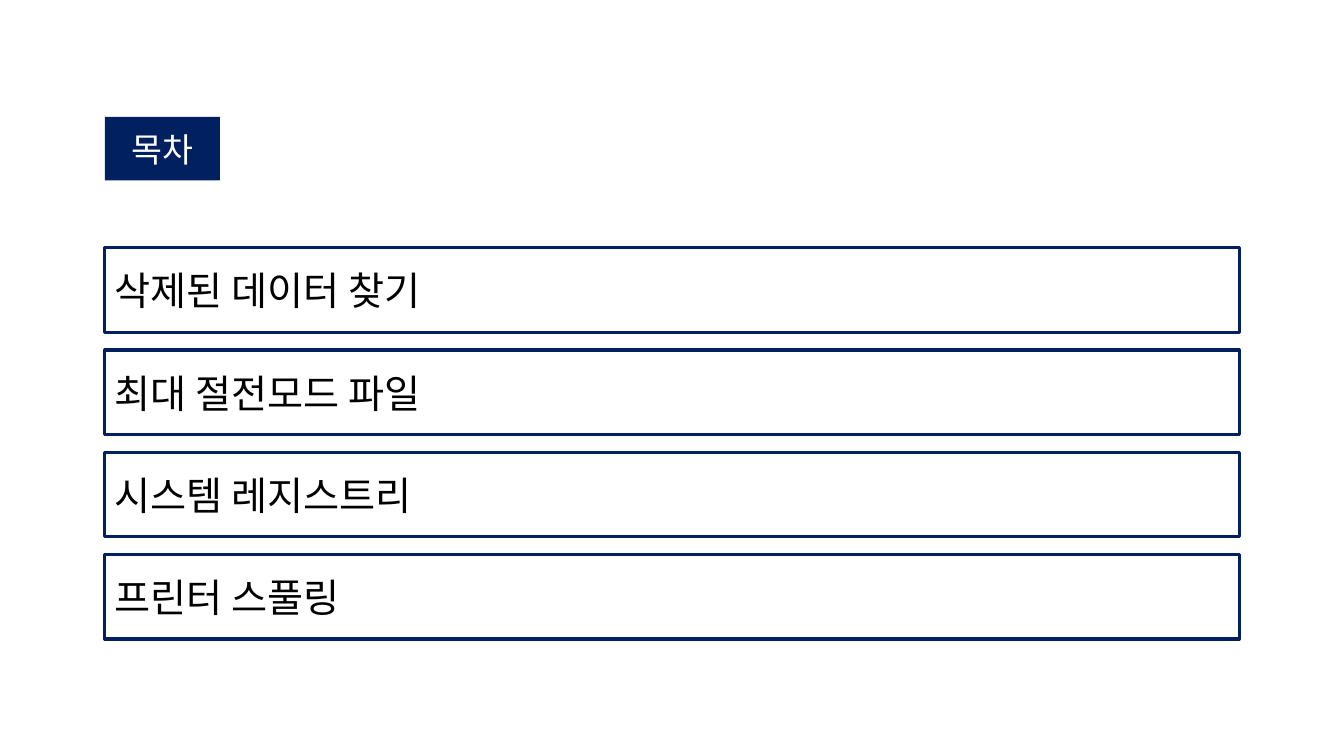
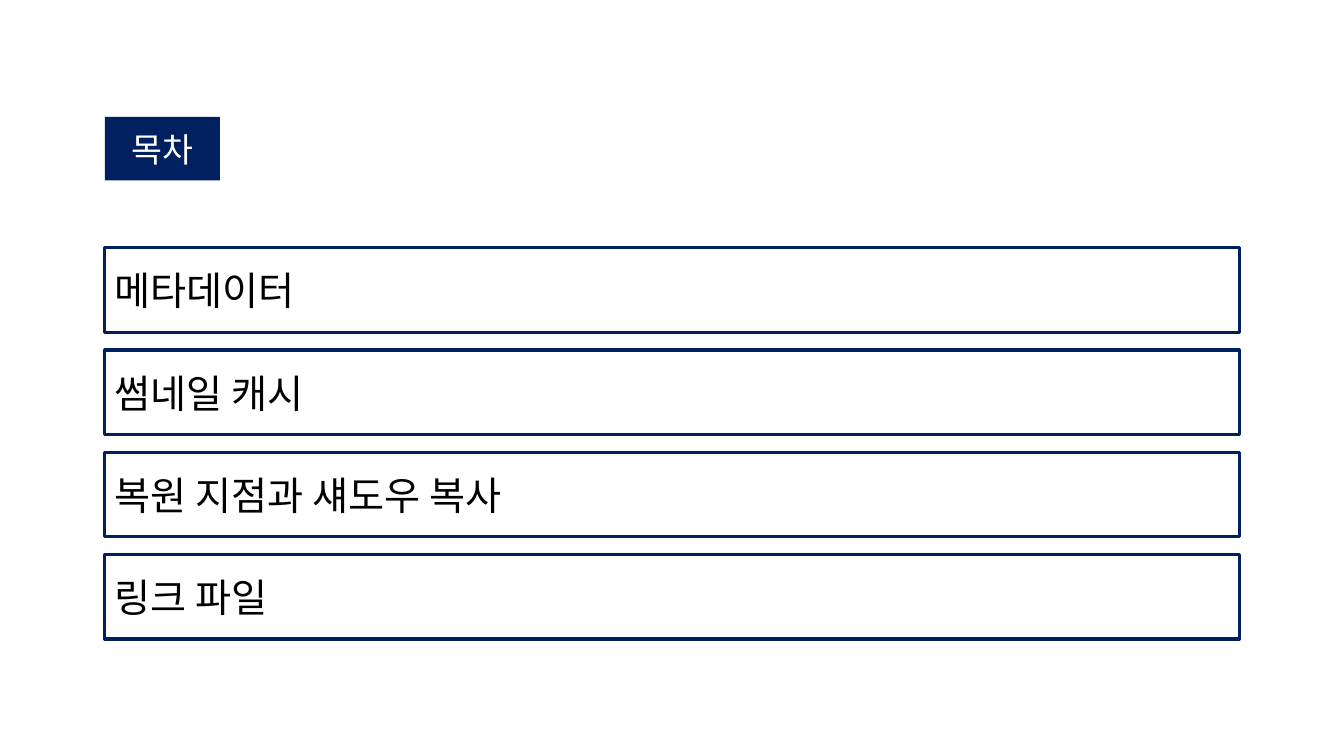
from lxml.etree import SubElement as Sub
from pptx import Presentation
from pptx.dml.color import RGBColor as RGB
from pptx.enum.shapes import MSO_SHAPE as Shape
from pptx.enum.text import MSO_ANCHOR as Anchor, PP_ALIGN as Align
from pptx.oxml.ns import qn
from pptx.util import Inches, Pt

NAVY = RGB(0x00, 0x20, 0x60)
BLACK = RGB(0x00, 0x00, 0x00)
WHITE = RGB(0xFF, 0xFF, 0xFF)
FONT = "Noto Sans CJK KR"
LEFT = 1.04
TOP = 2.46
STEP = 3.04 / 3

TITLE = "목차"
LISTS = [
    ["삭제된 데이터 찾기", "최대 절전모드 파일", "시스템 레지스트리", "프린터 스풀링"],
    ["메타데이터", "썸네일 캐시", "복원 지점과 섀도우 복사", "링크 파일"],
]


def add_box(slide, top, width, height, text, size, color, align):
    box = slide.shapes.add_shape(
        Shape.RECTANGLE, Inches(LEFT), Inches(top), Inches(width), Inches(height))
    box.shadow.inherit = False
    frame = box.text_frame
    frame.word_wrap = True
    frame.vertical_anchor = Anchor.MIDDLE
    para = frame.paragraphs[0]
    para.alignment = align
    run = para.add_run()
    run.text = text
    run.font.size = Pt(size)
    run.font.color.rgb = color
    run.font.name = FONT
    Sub(run.font._element, qn("a:ea"), typeface=FONT)
    return box


deck = Presentation()
deck.slide_width = Inches(13.33)
deck.slide_height = Inches(7.5)

for items in LISTS:
    slide = deck.slides.add_slide(deck.slide_layouts[6])
    label = add_box(slide, 1.16, 1.14, 0.63, TITLE, 24, WHITE, Align.CENTER)
    label.fill.solid()
    label.fill.fore_color.rgb = NAVY
    label.line.fill.background()
    for row, item in enumerate(items):
        entry = add_box(slide, TOP + row * STEP, 11.25, 0.84, item, 28, BLACK, Align.LEFT)
        entry.fill.background()
        entry.line.color.rgb = NAVY
        entry.line.width = Pt(2.25)

deck.save("out.pptx")
